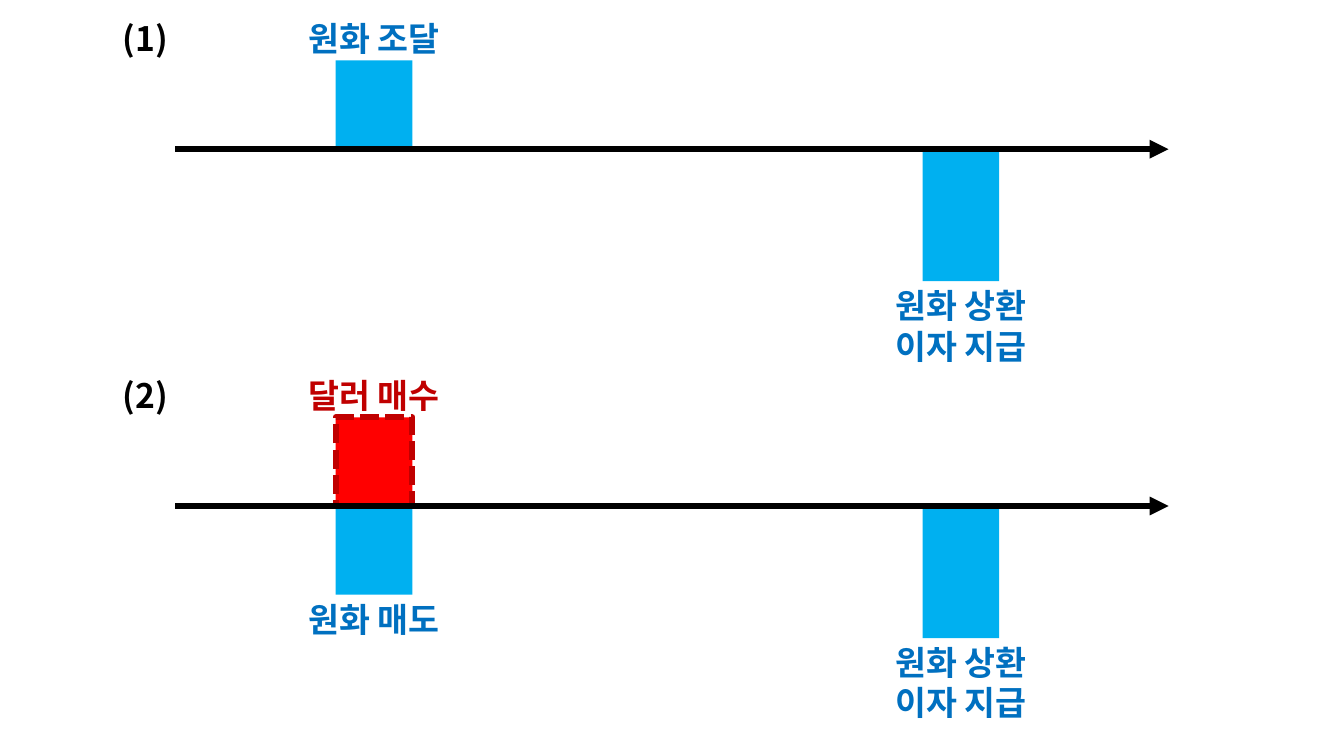
"""Build a slide of two cash-flow timelines in won and dollars."""
from lxml import etree
from pptx import Presentation
from pptx import util as u
from pptx.dml.color import RGBColor
from pptx.enum import dml, shapes, text
from pptx.oxml import ns

SKY = RGBColor(0x00, 0xB0, 0xF0)
BLUE = RGBColor(0x00, 0x70, 0xC0)
RED = RGBColor(0xFF, 0x00, 0x00)
DARK = RGBColor(0xC0, 0x00, 0x00)
BLACK = RGBColor(0x00, 0x00, 0x00)
FONT = "Noto Sans CJK KR"

EARLY, LATE = 371, 953
REPAY = (LATE, -131, "원화 상환\n이자 지급", SKY, BLUE)
ROWS = [
    ("(1)", 148, [(EARLY, 88, "원화 조달", SKY, BLUE), REPAY]),
    ("(2)", 502, [(EARLY, -88, "원화 매도", SKY, BLUE), REPAY,
                  (EARLY, 88, "달러 매수", RED, DARK)]),
]
PX = 9144
WIDE, HIGH = 1333, 750
START, END = 174, 1159
BAR, BOX, LINE, PAD = 76, 197, 40, 10
RISE = 135
TAG = 144


def scale(*sizes):
    return [u.Emu(round(size * PX)) for size in sizes]


def add_bar(slide, mid, axis, flow, fill, edge):
    top = axis - max(flow, 0)
    bar = slide.shapes.add_shape(
        shapes.MSO_SHAPE.RECTANGLE, *scale(mid - BAR / 2, top, BAR, abs(flow)))
    bar.shadow.inherit = False
    bar.fill.solid()
    bar.fill.fore_color.rgb = fill
    if fill == RED:
        bar.line.color.rgb = edge
        bar.line.width = u.Pt(4.5)
        bar.line.dash_style = dml.MSO_LINE.SQUARE_DOT
        dash = bar.line._ln.find(ns.qn("a:prstDash"))
        dash.set("val", "sysDash")
    else:
        bar.line.fill.background()


def add_axis(slide, axis):
    arrow = slide.shapes.add_connector(
        shapes.MSO_CONNECTOR.STRAIGHT, *scale(START, axis, END, axis))
    arrow.line.color.rgb = BLACK
    arrow.line.width = u.Pt(4.5)
    head = etree.SubElement(arrow.line._ln, ns.qn("a:tailEnd"))
    head.set("type", "triangle")
    etree.SubElement(arrow._element.spPr, ns.qn("a:effectLst"))


def add_label(slide, mid, top, words, color):
    high = LINE * len(words.split("\n")) + PAD
    box = slide.shapes.add_textbox(*scale(mid - BOX / 2, top, BOX, high))
    frame = box.text_frame
    frame.word_wrap = True
    frame.auto_size = text.MSO_AUTO_SIZE.SHAPE_TO_FIT_TEXT
    frame.text = words
    for para in frame.paragraphs:
        para.alignment = text.PP_ALIGN.CENTER
        para.line_spacing = u.Pt(28.8)
        for run in para.runs:
            run.font.name = FONT
            run.font.size = u.Pt(24)
            run.font.bold = True
            run.font.color.rgb = color
            east = etree.SubElement(run.font._element, ns.qn("a:ea"))
            east.set("typeface", FONT)


def main():
    deck = Presentation()
    deck.slide_width, deck.slide_height = scale(WIDE, HIGH)
    slide = deck.slides.add_slide(deck.slide_layouts[6])
    for tag, axis, flows in ROWS:
        for mid, flow, words, fill, color in flows:
            add_bar(slide, mid, axis, flow, fill, color)
        add_axis(slide, axis)
        for mid, flow, words, fill, color in flows:
            top = axis - RISE if flow > 0 else axis - flow - 1
            add_label(slide, mid, top, words, color)
        add_label(slide, TAG, axis - RISE, tag, BLACK)
    deck.save("out.pptx")


if __name__ == "__main__":
    main()
